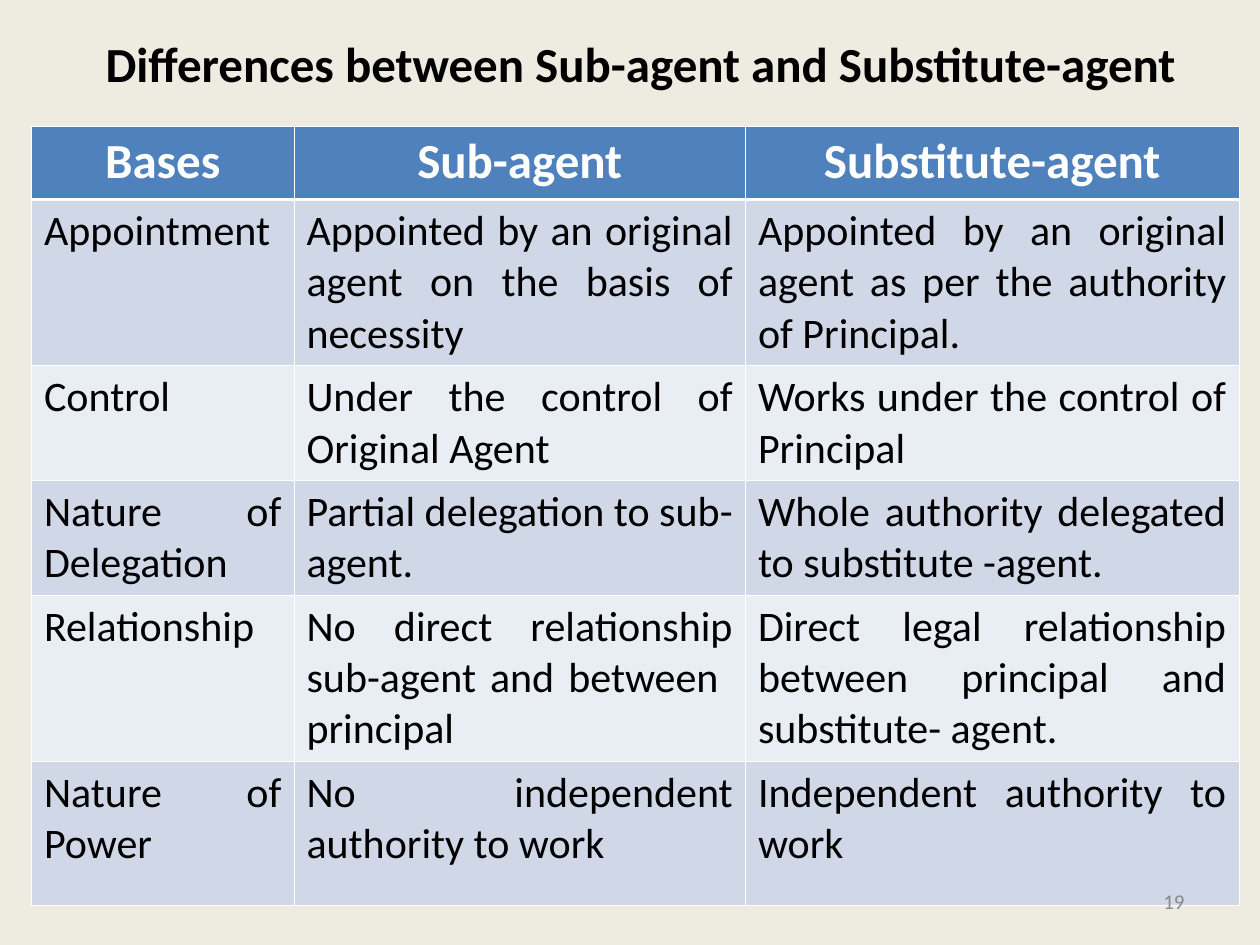
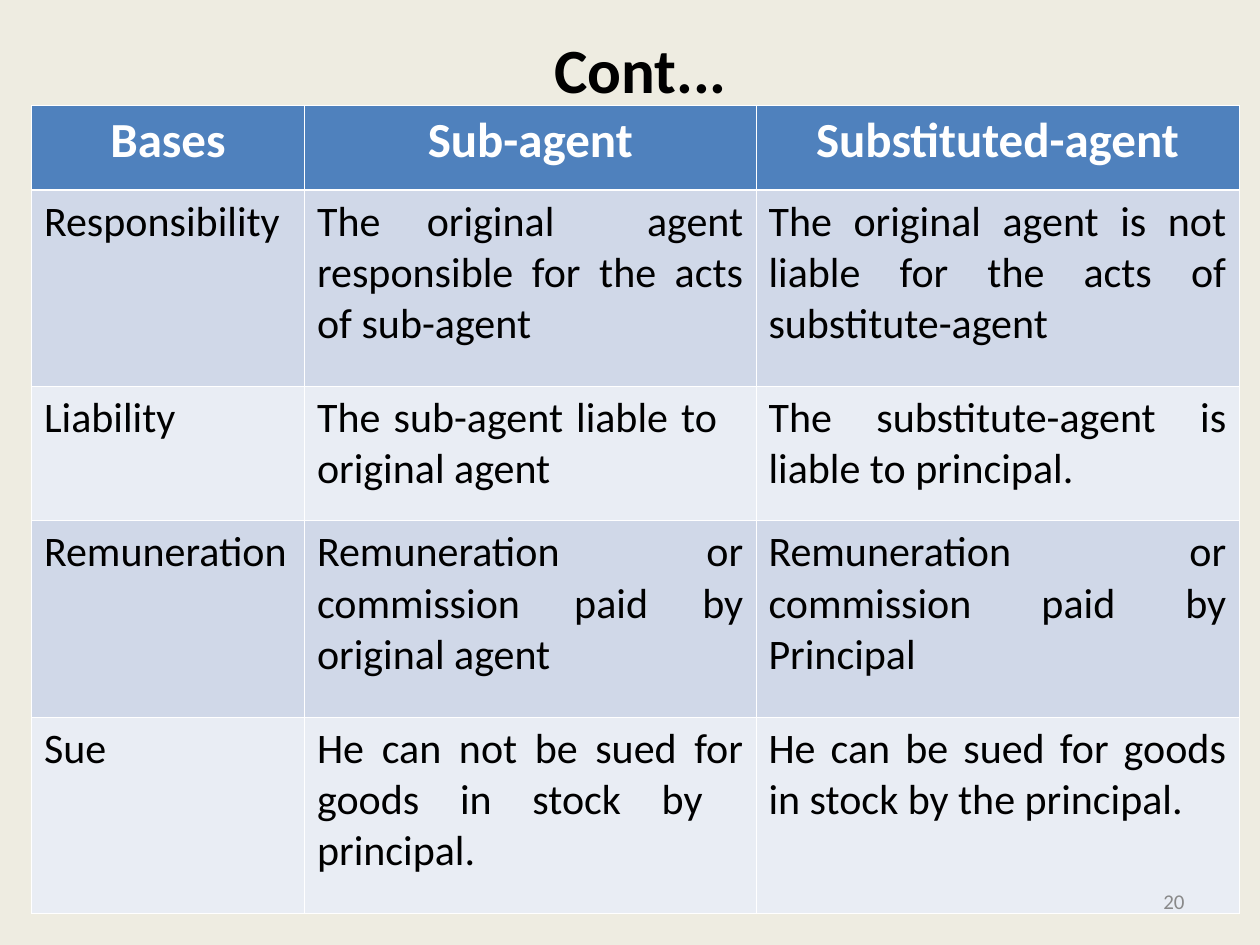
from lxml.etree import SubElement
from pptx import Presentation
from pptx.dml.color import RGBColor
from pptx.enum.text import MSO_ANCHOR, PP_ALIGN
from pptx.oxml.ns import qn
from pptx.util import Inches, Pt

CREAM = RGBColor(0xEE, 0xEC, 0xE1)
BLUE = RGBColor(0x4F, 0x81, 0xBD)
BAND_DARK = RGBColor(0xD0, 0xD8, 0xE8)
BAND_LIGHT = RGBColor(0xE9, 0xED, 0xF4)
WHITE = RGBColor(0xFF, 0xFF, 0xFF)
BLACK = RGBColor(0x00, 0x00, 0x00)
GREY = RGBColor(0x89, 0x89, 0x89)

FONT = "Calibri"
GRID_COLUMNS, GRID_ROWS = 120, 90
SLIDE_WIDTH, SLIDE_HEIGHT = Inches(10), Inches(7.5)
THIN, THICK = Pt(0.45), Pt(1.47)

AGENT_SLIDES = [
    {
        "title": "Differences between Sub-agent and Substitute-agent",
        "title_size": 28,
        "title_rows": 8,
        "number": 19,
        "table_top": 12,
        "column_widths": [25, 43, 47],
        "row_heights": [7, 15.84, 10.92, 10.92, 15.84, 13.68],
        "rows": [
            ("Bases", "Sub-agent", "Substitute-agent"),
            ("Appointment",
             "Appointed by an original agent on the basis of necessity",
             "Appointed by an original agent as per the authority of Principal."),
            ("Control",
             "Under the control of Original Agent",
             "Works under the control of Principal"),
            ("Nature of Delegation",
             "Partial delegation to sub-agent.",
             "Whole authority delegated to substitute -agent."),
            ("Relationship",
             "No direct relationship sub-agent and between  principal",
             "Direct legal relationship between principal and substitute- agent."),
            ("Nature of Power",
             "No independent authority to work",
             "Independent authority to work"),
        ],
    },
    {
        "title": "Cont...",
        "title_size": 36,
        "title_rows": 9,
        "number": 20,
        "table_top": 10,
        "column_widths": [26, 43, 46],
        "row_heights": [8.1, 18.7, 12.8, 18.7, 18.7],
        "rows": [
            ("Bases", "Sub-agent", "Substituted-agent"),
            ("Responsibility",
             "The original  agent responsible for the acts of sub-agent",
             "The original agent is not liable for the acts of substitute-agent"),
            ("Liability",
             "The sub-agent liable to   original agent",
             "The substitute-agent is liable to principal."),
            ("Remuneration",
             "Remuneration or commission paid by original agent",
             "Remuneration or commission paid by Principal"),
            ("Sue",
             "He can not be sued for goods in stock by  principal.",
             "He can be sued for goods in stock by the principal."),
        ],
    },
]


def across(columns):
    return round(SLIDE_WIDTH * columns / GRID_COLUMNS)


def down(rows):
    return round(SLIDE_HEIGHT * rows / GRID_ROWS)


def write(frame, text, size, color, align, bold=False):
    para = frame.paragraphs[0]
    para.alignment = align
    span = para.add_run()
    span.text = text
    span.font.name = FONT
    span.font.size = Pt(size)
    span.font.bold = bold
    span.font.color.rgb = color


def add_text(page, left, top, width, height, *style, bold=False):
    box = page.shapes.add_textbox(across(left), down(top), across(width), down(height))
    frame = box.text_frame
    frame.word_wrap = True
    frame.vertical_anchor = MSO_ANCHOR.MIDDLE
    write(frame, *style, bold=bold)


def set_borders(cell, top, bottom):
    """Draw white cell borders; call before filling, as the lines come first in the XML."""
    properties = cell._tc.get_or_add_tcPr()
    for side, width in (("L", THIN), ("R", THIN), ("T", top), ("B", bottom)):
        line = SubElement(properties, qn(f"a:ln{side}"), w=str(width))
        fill = SubElement(line, qn("a:solidFill"))
        SubElement(fill, qn("a:srgbClr"), val=str(WHITE))


def style_cell(cell, text, row):
    set_borders(cell,
                top=THICK if row == 1 else THIN,
                bottom=THICK if row == 0 else THIN)
    cell.fill.solid()
    if row == 0:
        cell.fill.fore_color.rgb = BLUE
        write(cell.text_frame, text, 28, WHITE, PP_ALIGN.CENTER, bold=True)
    else:
        cell.fill.fore_color.rgb = BAND_DARK if row % 2 else BAND_LIGHT
        write(cell.text_frame, text, 24, BLACK, PP_ALIGN.JUSTIFY)


def add_comparison(page, top, column_widths, row_heights, rows):
    table = page.shapes.add_table(
        len(rows), len(column_widths), across(3), down(top),
        across(sum(column_widths)), down(sum(row_heights))).table
    table.horz_banding = False
    for column, width in zip(table.columns, column_widths):
        column.width = across(width)
    for row, (height, texts) in enumerate(zip(row_heights, rows)):
        table.rows[row].height = down(height)
        for column, text in enumerate(texts):
            style_cell(table.cell(row, column), text, row)


def add_agent_slide(deck, content):
    page = deck.slides.add_slide(deck.slide_layouts[6])
    add_text(page, 2, 2, 118, content["title_rows"], content["title"],
             content["title_size"], BLACK, PP_ALIGN.CENTER, bold=True)
    add_comparison(page, content["table_top"], content["column_widths"],
                   content["row_heights"], content["rows"])
    add_text(page, 86, 83.4, 28, 4.8, str(content["number"]), 12, GREY, PP_ALIGN.RIGHT)


def main():
    deck = Presentation()
    deck.slide_width, deck.slide_height = SLIDE_WIDTH, SLIDE_HEIGHT
    background = deck.slide_master.background.fill
    background.solid()
    background.fore_color.rgb = CREAM
    for content in AGENT_SLIDES:
        add_agent_slide(deck, content)
    deck.save("out.pptx")


if __name__ == "__main__":
    main()
